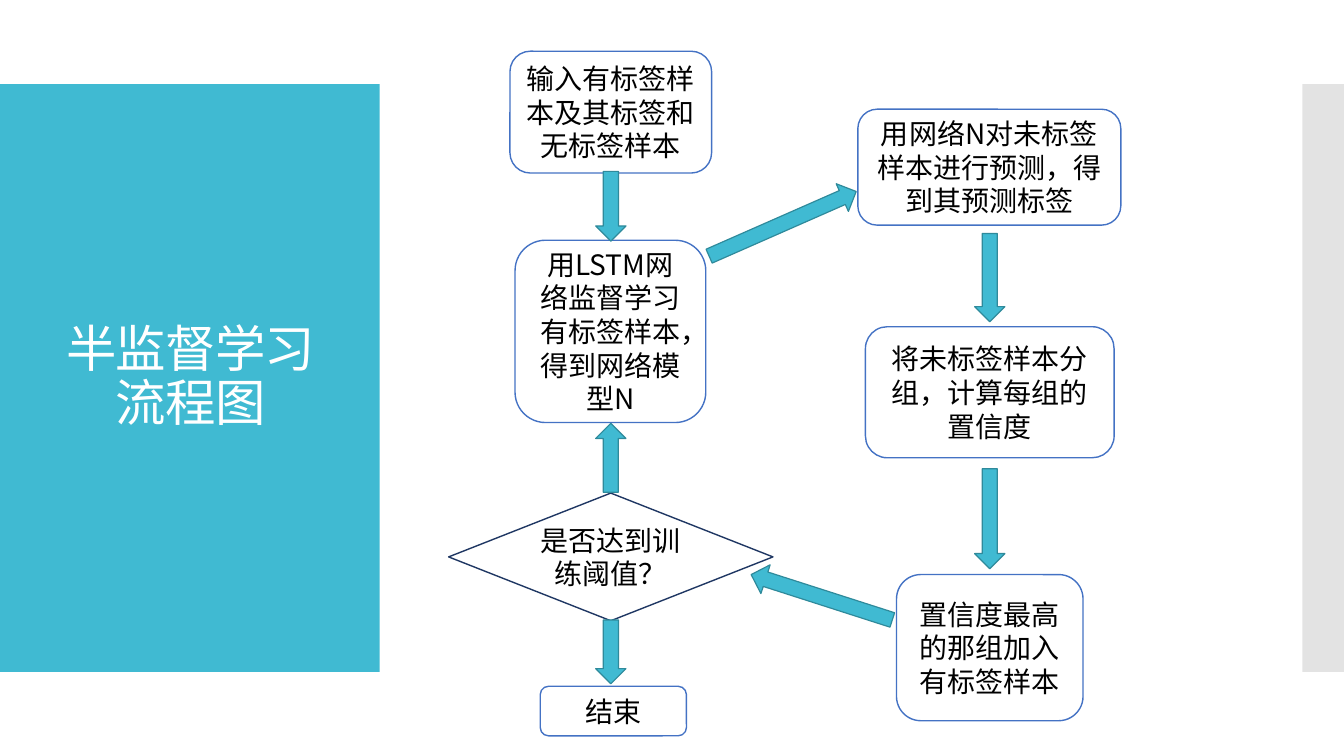
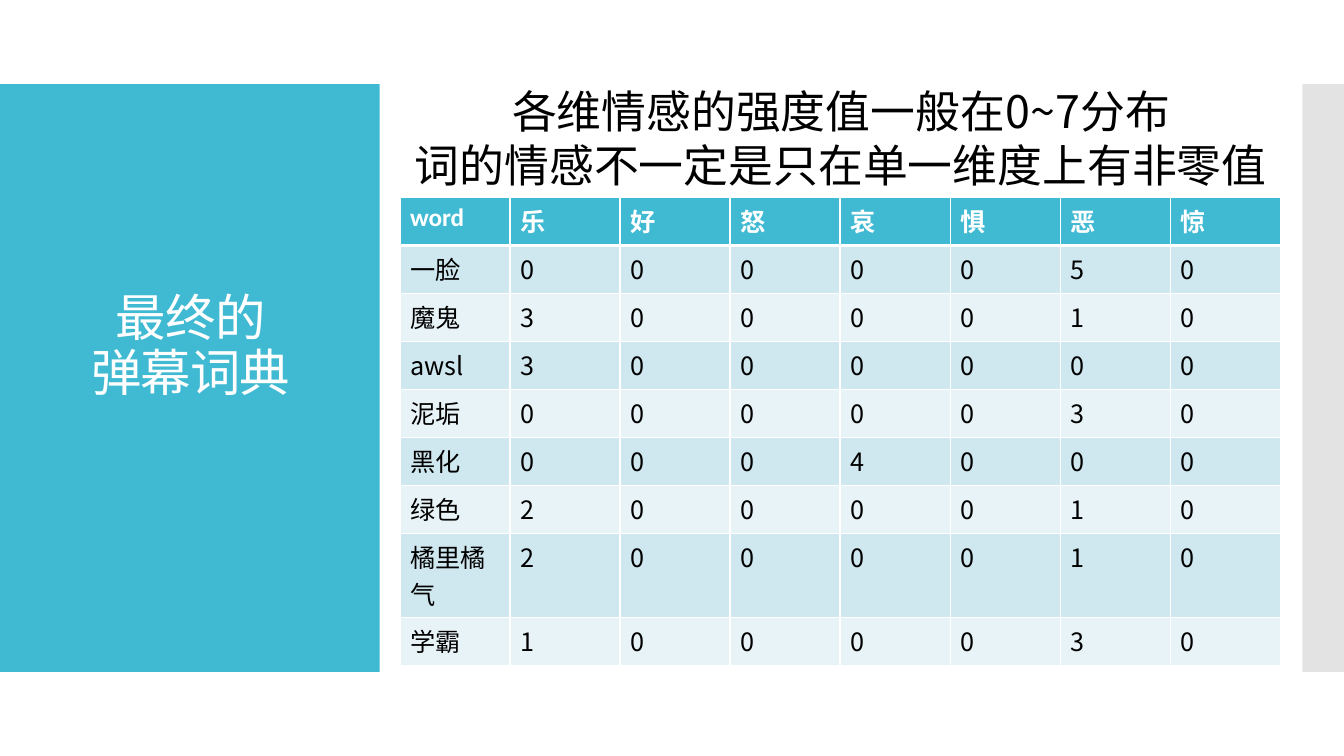
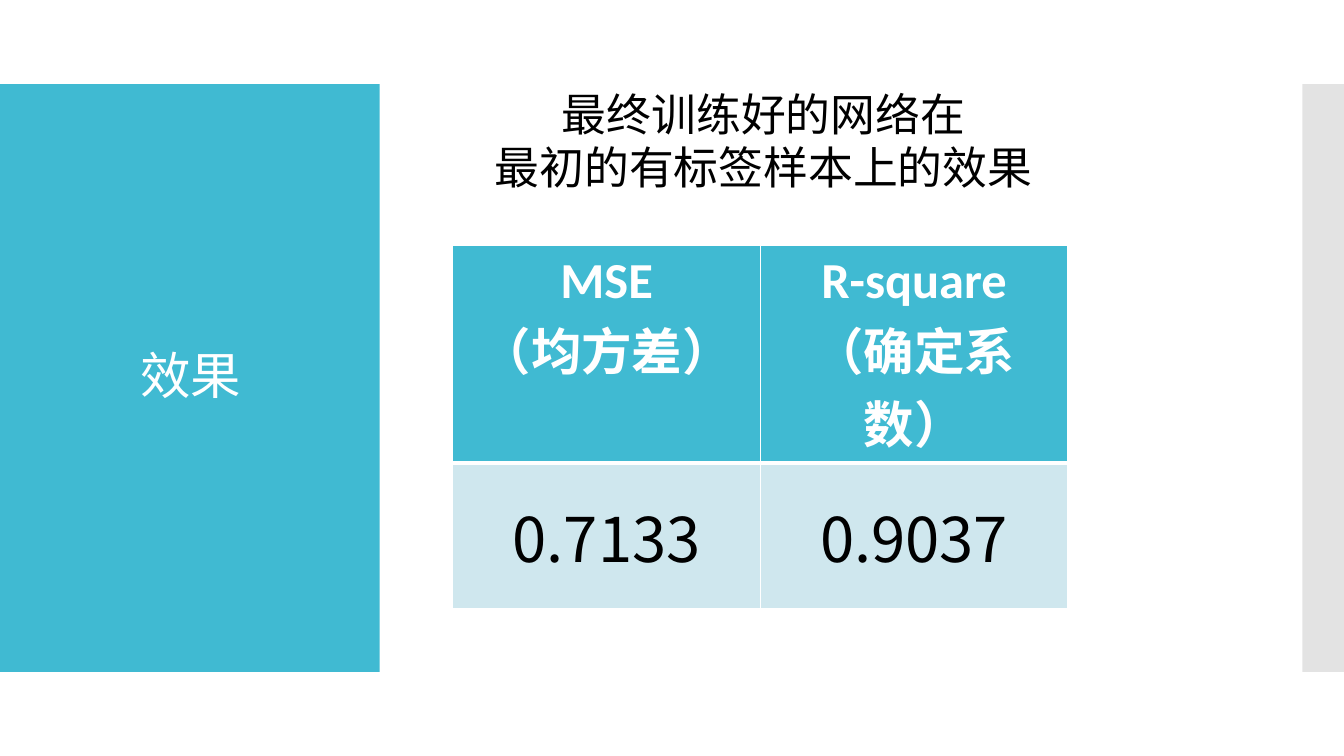
from copy import deepcopy
from math import atan2, degrees, hypot

from lxml.etree import SubElement as Sub
from pptx import Presentation
from pptx.dml.color import RGBColor as RGB
from pptx.enum.shapes import MSO_SHAPE as Shape
from pptx.enum.text import MSO_ANCHOR as Anchor, MSO_AUTO_SIZE as Fit, PP_ALIGN as Align
from pptx.oxml.ns import qn
from pptx.util import Inches, Pt

# Colours and fonts
TEAL, EDGE = RGB(0x40, 0xBA, 0xD2), RGB(0x2F, 0x8A, 0x9B)
BLUE, NAVY = RGB(0x44, 0x72, 0xC4), RGB(0x1F, 0x37, 0x63)
DARK, PALE = RGB(0xCF, 0xE7, 0xEE), RGB(0xE8, 0xF3, 0xF7)
GREY, WHITE, BLACK = RGB(0xC8, 0xC8, 0xC8), RGB(255, 255, 255), RGB(0, 0, 0)
HEAD, BODY = "Calibri", "Noto Sans CJK SC"

# Slide grid: 160 columns by 90 rows of square cells
WIDE, HIGH = Inches(13.33), Inches(7.5)
CELL = HIGH / 90


def span(*cells):
    return [round(c * CELL) for c in cells]


def write(frame, text, size=20, font=BODY, color=BLACK, bold=False,
          align=Align.CENTER, anchor=Anchor.TOP, lead=None, track=None):
    """Fill a text frame: a new line starts a paragraph, \\v breaks a line."""
    frame.word_wrap = True
    frame.vertical_anchor = anchor
    frame.text = text
    for para in frame.paragraphs:
        para.alignment = align
        if lead:
            para.line_spacing = lead
        for run in para.runs:
            run.font.size, run.font.name, run.font.bold = Pt(size), font, bold
            run.font.color.rgb = color
            props = run.font._element
            Sub(props, qn("a:ea")).set("typeface", BODY)
            if track:
                props.set("spc", str(track))
        for gap in para._p.findall(qn("a:br")):
            gap.insert(0, deepcopy(props))


def draw(slide, kind, box, fill, line=None, width=1):
    shape = slide.shapes.add_shape(kind, *span(*box))
    shape.shadow.inherit = False
    shape.fill.solid()
    shape.fill.fore_color.rgb = fill
    if line is None:
        shape.line.fill.background()
    else:
        shape.line.color.rgb = line
        shape.line.width = Pt(width)
    return shape


# Shared layout: side bands and title place
def dress(slide):
    layout = slide.slide_layout
    band = draw(slide, Shape.RECTANGLE, (0, 10, 45.2, 70), TEAL)
    strip = draw(slide, Shape.RECTANGLE, (155, 10, 5, 70), GREY)
    tint = strip.fill._xPr.find(".//" + qn("a:srgbClr"))
    Sub(tint, qn("a:alpha")).set("val", "50000")
    for shape in (strip, band):
        layout.shapes._spTree.insert(2, shape._element)
    name = layout.placeholders[0]
    name.left, name.top, name.width, name.height = span(3.4, 14.8, 38.6, 60.4)


def title(slide, text, lift=0):
    frame = slide.shapes.title.text_frame
    write(frame, text, size=36, font=HEAD, color=WHITE, anchor=Anchor.MIDDLE,
          lead=0.9, track=-60)
    frame.auto_size = Fit.NONE
    frame.margin_bottom = span(0.6 + 2 * lift)[0]


def lead(slide, text, box, font=BODY):
    frame = slide.shapes.add_textbox(*span(*box)).text_frame
    write(frame, text, size=32, font=font)


# Flow chart: nodes and arrows in cells from the corner of the box
STEPS = [
    ("输入有标签样本及其标签和无标签样本", 7.3, 0, 24, 14.5),
    ("用LSTM网络监督学习有标签样本，得到网络模型N", 7.9, 22.5, 22.7, 21.7),
    ("用网络N对未标签样本进行预测，得到其预测标签", 48.7, 6.9, 31.3, 13.8),
    ("将未标签样本分组，计算每组的置信度", 49.6, 32.8, 29.6, 15.6),
    ("置信度最高的那组加入有标签样本", 53.3, 62.3, 22.2, 17.4),
    ("结束", 10.9, 75.6, 17.4, 5.9),
]
TEST = ("是否达到训练阈值？", 0, 52.6, 38.6, 15.2)
LEFT, RIGHT = 19.3, 64.4
PATHS = [
    (LEFT, 14.3, LEFT, 22.6),
    (31, 24.4, 48.5, 16.7),
    (RIGHT, 21.7, RIGHT, 32.2),
    (RIGHT, 49.7, RIGHT, 61.6),
    (52.8, 67.7, 36, 62.3),
    (LEFT, 52.5, LEFT, 44.3),
    (LEFT, 67.7, LEFT, 75.3),
]


def node(slide, kind, text, box, line):
    shape = draw(slide, kind, box, WHITE, line)
    write(shape.text_frame, text, anchor=Anchor.MIDDLE)


def arrow(slide, x1, y1, x2, y2, thick=3.6):
    size = hypot(x2 - x1, y2 - y1)
    box = ((x1 + x2 - size) / 2, (y1 + y2 - thick) / 2, size, thick)
    shape = draw(slide, Shape.RIGHT_ARROW, box, TEAL, EDGE, 0.85)
    shape.rotation = degrees(atan2(y2 - y1, x2 - x1))


def flow(slide, x, y):
    for text, dx, dy, w, h in STEPS:
        node(slide, Shape.ROUNDED_RECTANGLE, text, (x + dx, y + dy, w, h), BLUE)
    text, dx, dy, w, h = TEST
    node(slide, Shape.FLOWCHART_DECISION, text, (x + dx, y + dy, w, h), NAVY)
    for x1, y1, x2, y2 in PATHS:
        arrow(slide, x + x1, y + y1, x + x2, y + y2)


# Tables
def edge(cell, **widths):
    props = cell._tc.get_or_add_tcPr()
    for spot, side in enumerate("LRTB"):
        line = Sub(props, qn("a:ln" + side))
        line.set("w", str(Pt(widths.get(side, 1))))
        Sub(Sub(line, qn("a:solidFill")), qn("a:srgbClr")).set("val", str(WHITE))
        props.insert(spot, line)


def grid(slide, rows, box, tall, head, body):
    shape = slide.shapes.add_table(len(rows), len(rows[0]), *span(*box))
    table = shape.table
    for col in table.columns:
        col.width = span(box[2] / len(rows[0]))[0]
    for r, row in enumerate(rows):
        table.rows[r].height = span(tall[r])[0]
        for c, text in enumerate(row):
            cell = table.cell(r, c)
            cell.fill.solid()
            cell.fill.fore_color.rgb = (DARK if r % 2 else PALE) if r else TEAL
            edge(cell, B=1 if r else 3, T=3 if r == 1 else 1)
            style = body if r else head
            write(cell.text_frame, text, **style)
            cell.vertical_anchor = style.get("anchor", Anchor.TOP)


WORDS = {"一脸": "0000050", "魔鬼": "3000010", "awsl": "3000000", "泥垢": "0000030",
         "黑化": "0004000", "绿色": "2000010", "橘里橘气": "2000010", "学霸": "1000030"}
MOODS = [["word", *"乐好怒哀惧恶惊"]] + [[w, *marks] for w, marks in WORDS.items()]
SCORES = [["MSE\n（均方差）", "R-square\n（确定系数）"], ["0.7133", "0.9037"]]
TOP = dict(font=HEAD, color=WHITE, bold=True)


def main():
    deck = Presentation()
    deck.slide_width, deck.slide_height = WIDE, HIGH
    chart, words, score = [deck.slides.add_slide(deck.slide_layouts[5]) for _ in range(3)]
    dress(chart)

    # Flow chart slide
    title(chart, "半监督学习\v流程图")
    flow(chart, 53.4, 6.1)

    # Word list slide
    title(words, "最终的\v弹幕词典", lift=3.6)
    tall = [10 if len(row[0]) == 4 and row[0] == "橘里橘气" else 5.72 for row in MOODS]
    grid(words, MOODS, (47.6, 23.5, 104.8, sum(tall)), tall,
         dict(TOP, size=18, align=Align.LEFT), dict(size=18, align=Align.LEFT))
    lead(words, "各维情感的强度值一般在0~7分布\n词的情感不一定是只在单一维度上有非零值",
         (46.6, 9.4, 107, 14.2))

    # Score slide
    title(score, "效果")
    grid(score, SCORES, (53.9, 29.2, 73.2, 34.8), [17.4, 17.4],
         dict(TOP, size=36), dict(size=44, anchor=Anchor.MIDDLE))
    lead(score, "最终训练好的网络在\n最初的有标签样本上的效果", (53.9, 9.7, 74, 14.2), HEAD)

    deck.save("out.pptx")


if __name__ == "__main__":
    main()
